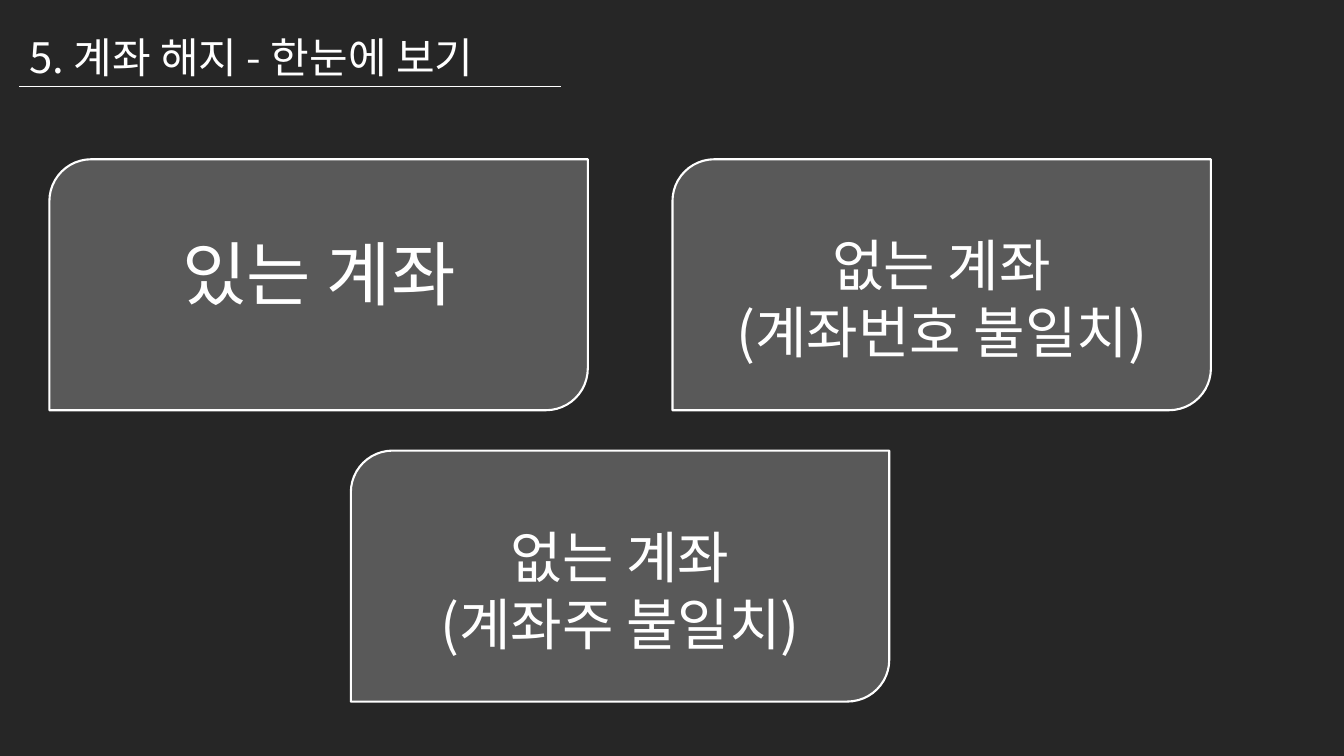
import pptx
import pptx.util
import pptx.dml.color
import pptx.enum.shapes
import pptx.enum.text
import pptx.oxml
import pptx.oxml.ns

Inches = pptx.util.Inches
RGBColor = pptx.dml.color.RGBColor
ALIGN = pptx.enum.text.PP_ALIGN

# Content: card position, lines, text size, text box (inset from card, width, height)
TITLE = "5. 계좌 해지 - 한눈에 보기"
CARDS = [
    {"left": 0.49, "top": 1.58, "lines": ["있는 계좌"], "size": 50, "box": (0.36, 4.63, 0.92)},
    {"left": 6.67, "top": 1.58, "lines": ["없는 계좌", "(계좌번호 불일치)"], "size": 40,
     "box": (0.18, 4.98, 1.43)},
    {"left": 3.48, "top": 4.47, "lines": ["없는 계좌", "(계좌주 불일치)"], "size": 40,
     "box": (0.18, 4.98, 1.43)},
]

# Style
FONT = "Noto Sans CJK KR"
BACKGROUND = RGBColor(0x26, 0x26, 0x26)
CARD_FILL = RGBColor(0x59, 0x59, 0x59)
WHITE = RGBColor(0xFF, 0xFF, 0xFF)
CARD_WIDTH, CARD_HEIGHT = 5.34, 2.49
TEXT_DROP = 0.66


def add_text(shapes, lines, left, top, width, height, *, size, align=ALIGN.LEFT):
    text_box = shapes.add_textbox(Inches(left), Inches(top), Inches(width), Inches(height))
    frame = text_box.text_frame
    frame.word_wrap = True
    frame.auto_size = pptx.enum.text.MSO_AUTO_SIZE.SHAPE_TO_FIT_TEXT
    for index, line in enumerate(lines):
        paragraph = frame.add_paragraph() if index else frame.paragraphs[0]
        paragraph.alignment = align
        run = paragraph.add_run()
        run.text = line
        run.font.size = pptx.util.Pt(size)
        run.font.name = FONT
        run.font.color.rgb = WHITE
        # Hangul takes the East Asian typeface
        east_asian = pptx.oxml.parse_xml(
            f'<a:ea {pptx.oxml.ns.nsdecls("a")} typeface="{FONT}"/>')
        run.font._element.find(pptx.oxml.ns.qn("a:latin")).addnext(east_asian)


def add_card(slide, card):
    shapes = slide.shapes.add_group_shape().shapes
    shape = shapes.add_shape(
        pptx.enum.shapes.MSO_SHAPE.ROUND_2_DIAG_RECTANGLE,
        Inches(card["left"]), Inches(card["top"]), Inches(CARD_WIDTH), Inches(CARD_HEIGHT))
    shape.shadow.inherit = False
    shape.fill.solid()
    shape.fill.fore_color.rgb = CARD_FILL
    shape.line.color.rgb = WHITE
    shape.line.width = pptx.util.Pt(1.5)
    inset, width, height = card["box"]
    add_text(shapes, card["lines"], card["left"] + inset, card["top"] + TEXT_DROP,
             width, height, size=card["size"], align=ALIGN.CENTER)


def main():
    presentation = pptx.Presentation()
    presentation.slide_width = Inches(13.33)
    presentation.slide_height = Inches(7.5)
    slide = presentation.slides.add_slide(presentation.slide_layouts[6])
    slide.background.fill.solid()
    slide.background.fill.fore_color.rgb = BACKGROUND

    # Underlined title
    rule = slide.shapes.add_connector(
        pptx.enum.shapes.MSO_CONNECTOR.STRAIGHT,
        Inches(0.19), Inches(0.86), Inches(5.56), Inches(0.86))
    rule.line.color.rgb = WHITE
    rule.line.width = pptx.util.Pt(1)
    rule._element.spPr.append(
        pptx.oxml.parse_xml(f'<a:effectLst {pptx.oxml.ns.nsdecls("a")}/>'))
    add_text(slide.shapes, [TITLE], 0.19, 0.26, 5.27, 0.6, size=30)

    # Account cards
    for card in CARDS:
        add_card(slide, card)

    presentation.save("out.pptx")


if __name__ == "__main__":
    main()
